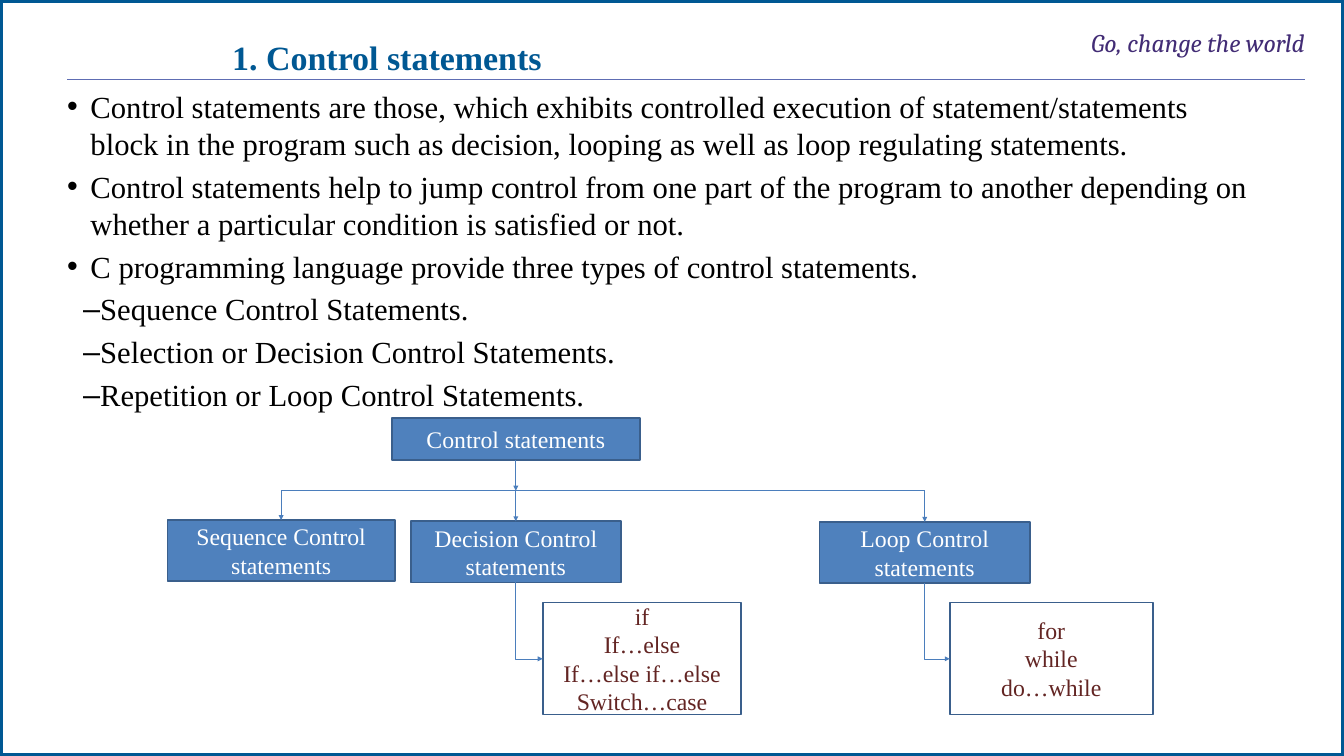
from lxml.etree import SubElement
from pptx import Presentation
from pptx.dml.color import RGBColor
from pptx.enum.shapes import MSO_CONNECTOR, MSO_SHAPE
from pptx.enum.text import MSO_ANCHOR, MSO_AUTO_SIZE, PP_ALIGN
from pptx.oxml.ns import qn
from pptx.util import Emu, Pt

SCALE = 9144
PAGE_WIDTH, PAGE_HEIGHT = 2199, 1237
SERIF = "Times New Roman"
BOX_FILL, BOX_LINE, ARROW = "4F81BD", "3A5F8C", "4B7EBC"
RAIL_TOP = 803

BULLETS = [
    "Control statements are those, which exhibits controlled execution of statement/statements block in the program such as decision, looping as well as loop regulating statements.",
    "Control statements help to jump control from one part of the program to another depending on whether a particular condition is satisfied or not.",
    "C programming language provide three types of control statements.",
]
KINDS = [
    "Sequence Control Statements.",
    "Selection or Decision Control Statements.",
    "Repetition or Loop Control Statements.",
]
BRANCHES = [
    ("Sequence Control statements", 274, 851, 372),
    ("Decision Control statements", 672, 853, 344),
    ("Loop Control statements", 1341, 854, 344),
]
EXAMPLES = [
    (1, ["if", "If…else", "If…else if…else", "Switch…case"], 888, 325),
    (2, ["for", "while", "do…while"], 1554, 332),
]


def px(value):
    return Emu(round(value * SCALE))


def color(value):
    return RGBColor.from_string(value)


def place(shape, left, top, width, height):
    shape.left, shape.top = px(left), px(top)
    shape.width, shape.height = px(width), px(height)


def write(frame, lines, size=28, font=SERIF, fill="000000", bold=False, italic=False,
          align=PP_ALIGN.LEFT, before=0, bullet=None, level=0, margin=0, indent=0):
    for line in lines:
        first = not frame.text
        para = frame.paragraphs[0] if first else frame.add_paragraph()
        para.alignment, para.level = align, level
        para.space_before = Pt(0 if first else before)
        if bullet:
            props = para._p.get_or_add_pPr()
            props.set("marL", str(px(margin)))
            props.set("indent", str(px(indent)))
            SubElement(props, qn("a:buChar"), char=bullet)
        span = para.add_run()
        span.text = line
        span.font.size, span.font.name = Pt(size), font
        span.font.bold, span.font.italic = bold, italic
        span.font.color.rgb = color(fill)


def prepare(shape):
    frame = shape.text_frame
    frame.word_wrap = True
    frame.auto_size = MSO_AUTO_SIZE.NONE
    frame.vertical_anchor = MSO_ANCHOR.TOP
    frame.margin_left = frame.margin_right = frame.margin_top = frame.margin_bottom = 0
    return frame


def add_label(page, lines, left, top, width, height, **text_format):
    box = page.shapes.add_textbox(px(left), px(top), px(width), px(height))
    write(prepare(box), lines, **text_format)


def add_box(page, lines, left, top, width, height, fill=BOX_FILL, line=BOX_LINE,
            weight=2, text_fill="FFFFFF"):
    box = page.shapes.add_shape(MSO_SHAPE.RECTANGLE, px(left), px(top), px(width), px(height))
    box.shadow.inherit = False
    if fill:
        box.fill.solid()
        box.fill.fore_color.rgb = color(fill)
    else:
        box.fill.background()
    box.line.color.rgb = color(line)
    box.line.width = Pt(weight)
    box.text_frame.word_wrap = True
    box.text_frame.vertical_anchor = MSO_ANCHOR.MIDDLE
    write(box.text_frame, lines, fill=text_fill, align=PP_ALIGN.CENTER)
    return box


def add_line(page, start, end, kind=MSO_CONNECTOR.STRAIGHT, line=ARROW, weight=1.5, arrow=False):
    connector = page.shapes.add_connector(kind, px(start[0]), px(start[1]), px(end[0]), px(end[1]))
    connector.line.color.rgb = color(line)
    connector.line.width = Pt(weight)
    if arrow:
        SubElement(connector.line._get_or_add_ln(), qn("a:tailEnd"), type="triangle")
    SubElement(connector._element.spPr, qn("a:effectLst"))
    return connector


def add_elbow(page, start, end):
    across, down = end[0] - start[0], end[1] - start[1]
    middle_x, middle_y = start[0] + across / 2, start[1] + down / 2
    elbow = add_line(page, (middle_x - down / 2, middle_y - across / 2),
                     (middle_x + down / 2, middle_y + across / 2),
                     kind=MSO_CONNECTOR.ELBOW, weight=0.75, arrow=True)
    props = elbow._element.spPr
    props.find(qn("a:prstGeom")).set("prst", "bentConnector2")
    props.find(qn("a:xfrm")).set("rot", "16200000")
    props.find(qn("a:xfrm")).set("flipH", "1")


def add_header(page):
    frame = add_box(page, [], 0, 0, PAGE_WIDTH, PAGE_HEIGHT, fill="FFFFFF", line="005893", weight=6)
    frame.element.getparent().insert(2, frame.element)
    add_line(page, (110, 130), (2136, 130), line="5E6DB3", weight=1.25)
    add_label(page, ["1. Control statements"], 380, 60, 1352, 69, size=40, fill="005893", bold=True)
    title = page.shapes.title
    place(title, 1733, 45, 402, 51)
    write(prepare(title), ["Go, change the world"], size=30, font="Cambria", fill="422C75",
          italic=True, align=PP_ALIGN.RIGHT)


def add_list(page):
    body = page.placeholders[1]
    place(body, 110, 144, 1940, 520)
    frame = prepare(body)
    write(frame, BULLETS, size=36.1, before=7.2, bullet="•", margin=38, indent=-38)
    write(frame, KINDS, size=36.1, before=7.2, bullet="–", level=1, margin=26)


def add_tree(page):
    root = add_box(page, ["Control statements"], 641, 684, 406, 69)
    trunk = add_line(page, (844, 753), (844, RAIL_TOP), arrow=True)
    trunk.begin_connect(root, 2)
    centers = [left + width // 2 for _, left, _, width in BRANCHES]
    add_line(page, (centers[0], RAIL_TOP), (centers[-1], RAIL_TOP))
    for center, (text, left, top, width) in zip(centers, BRANCHES):
        branch = add_box(page, [text], left, top, width, 100)
        drop = add_line(page, (center, RAIL_TOP), (center, top), arrow=True)
        drop.end_connect(branch, 0)
    for index, lines, left, width in EXAMPLES:
        add_box(page, lines, left, 986, width, 183, fill=None, text_fill="632523")
        add_elbow(page, (centers[index], BRANCHES[index][2] + 100), (left, 1078))


def main():
    deck = Presentation()
    deck.slide_width, deck.slide_height = px(PAGE_WIDTH), px(PAGE_HEIGHT)
    page = deck.slides.add_slide(deck.slide_layouts[1])
    add_header(page)
    add_list(page)
    add_tree(page)
    deck.save("out.pptx")


if __name__ == "__main__":
    main()
